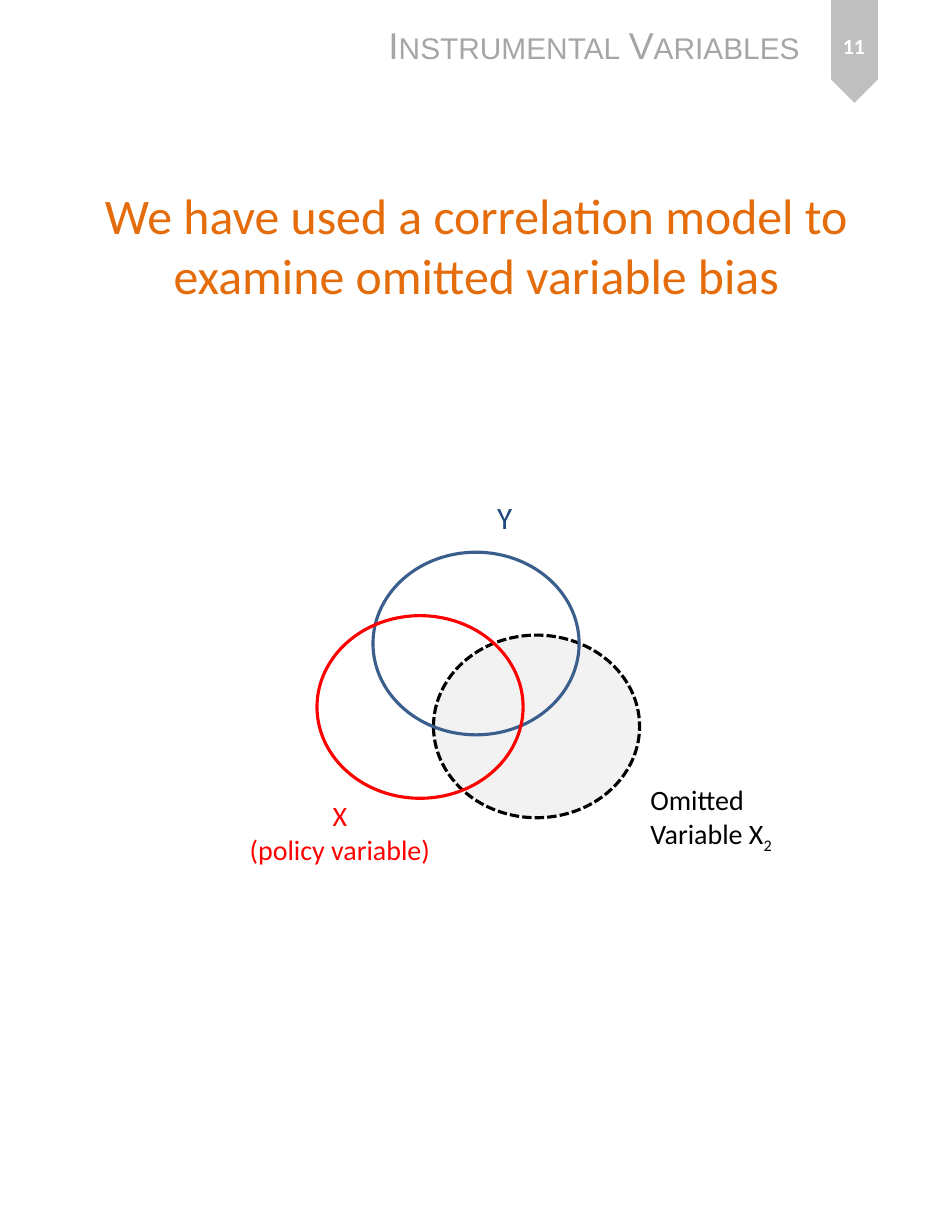
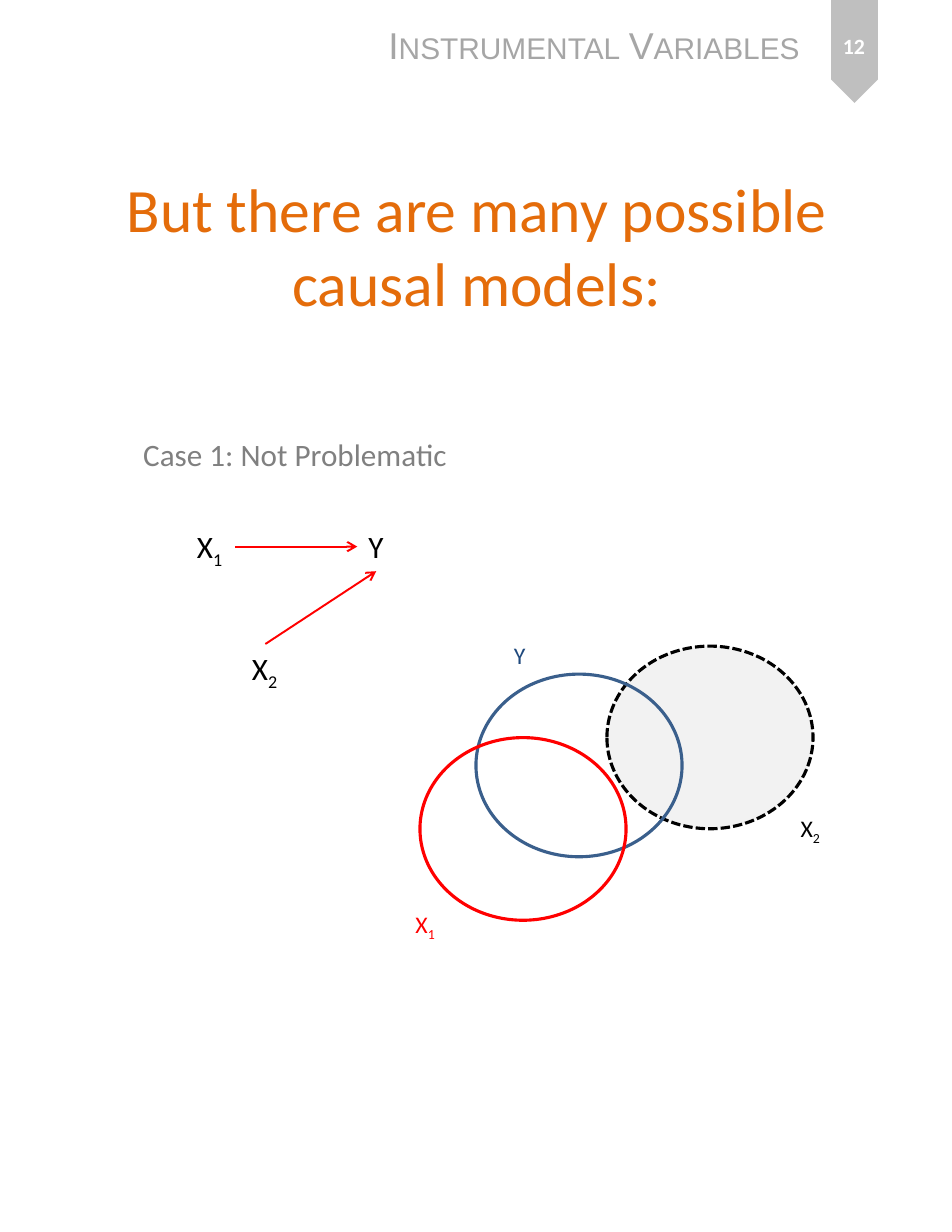
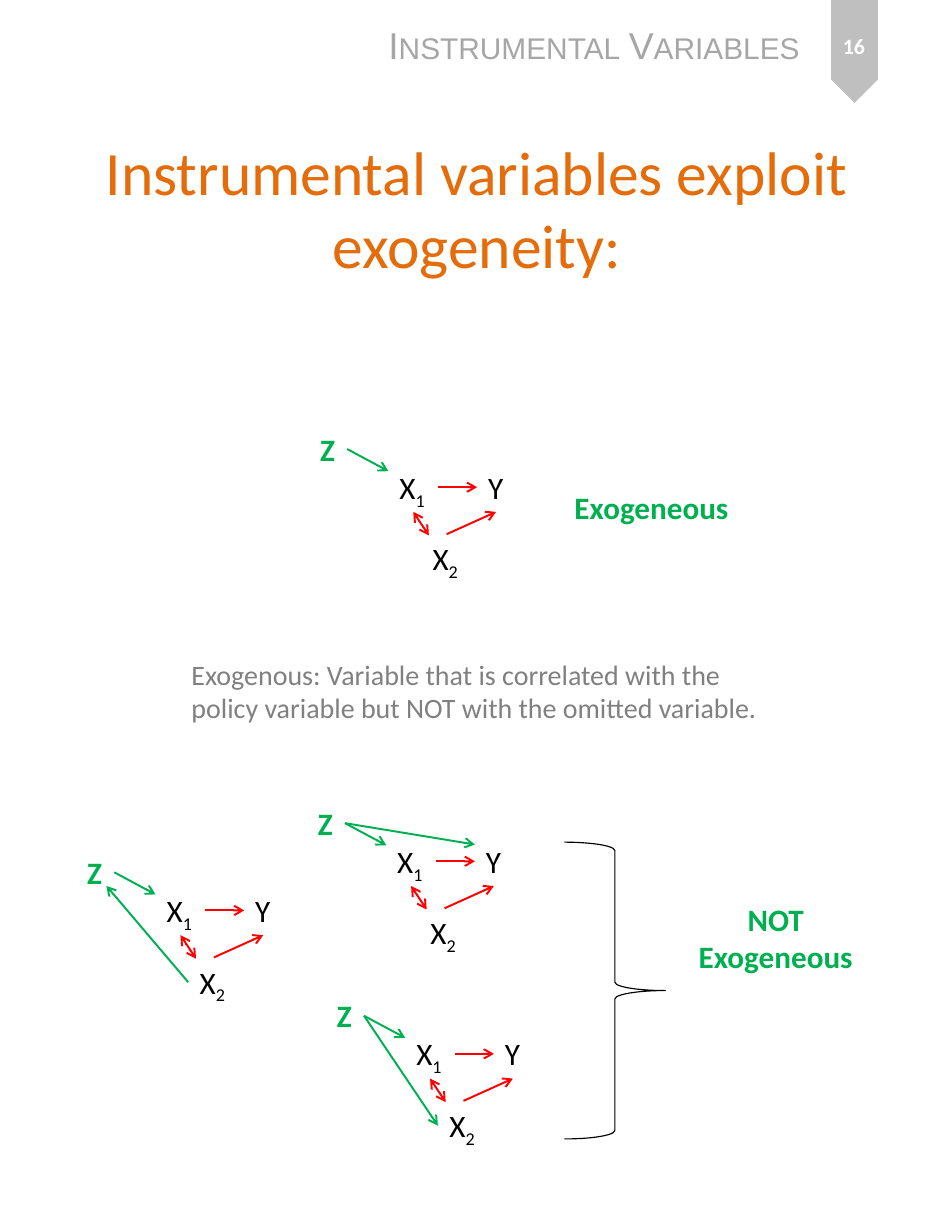
from lxml.etree import SubElement
from pptx import Presentation
from pptx.dml.color import RGBColor
from pptx.enum.dml import MSO_LINE
from pptx.enum.shapes import MSO_CONNECTOR, MSO_SHAPE
from pptx.enum.text import MSO_ANCHOR, MSO_AUTO_SIZE, PP_ALIGN
from pptx.oxml.ns import qn
from pptx.util import Pt

ORANGE = RGBColor(0xE4, 0x6C, 0x0A)
NAVY = RGBColor(0x1F, 0x49, 0x7D)
BLUE = RGBColor(0x3A, 0x5F, 0x8C)
RED = RGBColor(0xFF, 0x00, 0x00)
GREEN = RGBColor(0x00, 0xB0, 0x50)
BLACK = RGBColor(0x00, 0x00, 0x00)
WHITE = RGBColor(0xFF, 0xFF, 0xFF)
GRAY = RGBColor(0x80, 0x80, 0x80)
HEADER_GRAY = RGBColor(0xA6, 0xA6, 0xA6)
TAB_GRAY = RGBColor(0xBF, 0xBF, 0xBF)
PALE = RGBColor(0xF2, 0xF2, 0xF2)

CIRCLE_W, CIRCLE_H = 132.5, 117.4
NODE_H, Y_W, X_W = 31.5, 24.5, 31.5     # boxes of the 20 pt node letters


def style(p, size, color, bold=False, align=PP_ALIGN.LEFT, font="Calibri"):
    p.alignment = align
    p.font.name, p.font.size = font, Pt(size)
    p.font.bold, p.font.color.rgb = bold, color


def label(s, text, x, y, w, h, size=20, color=BLACK, sub="", wrap=False, **kw):
    """Text box; sub is a subscript after the text."""
    tf = s.shapes.add_textbox(Pt(x), Pt(y), Pt(w), Pt(h)).text_frame
    tf.word_wrap = wrap
    tf.text = text
    for p in tf.paragraphs:
        style(p, size, color, **kw)
    if sub:
        r = tf.paragraphs[-1].add_run()
        r.text = sub
        r._r.get_or_add_rPr().set("baseline", "-25000")
    return tf


def preset(s, kind, x, y, w, h, fill=None, line=None, width=2):
    sp = s.shapes.add_shape(kind, Pt(x), Pt(y), Pt(w), Pt(h))
    sp.shadow.inherit = False
    if fill is None:
        sp.fill.background()
    else:
        sp.fill.solid()
        sp.fill.fore_color.rgb = fill
    if line is None:
        sp.line.fill.background()
    else:
        sp.line.color.rgb, sp.line.width = line, Pt(width)
    return sp


def arrow(s, x, y, x1, y1, x2, y2, color=RED, both=False):
    """Arrow between two points, measured from (x, y)."""
    c = s.shapes.add_connector(MSO_CONNECTOR.STRAIGHT,
                               Pt(x + x1), Pt(y + y1), Pt(x + x2), Pt(y + y2))
    c.line.color.rgb, c.line.width = color, Pt(1.25)
    ln = c.line._get_or_add_ln()
    for end in ("headEnd", "tailEnd") if both else ("tailEnd",):
        SubElement(ln, qn("a:" + end), type="arrow")
    SubElement(c._element.spPr, qn("a:effectLst"))


def new_slide(title, number, size=39.6, lift=0):
    """Slide with running header, page tab and title; lift raises the title text."""
    s = prs.slides.add_slide(prs.slide_layouts[5])
    # Page tab and running header
    tab = preset(s, MSO_SHAPE.PENTAGON, 516.2, 18, 66.2, 30.2, TAB_GRAY)
    tab.rotation = 90
    tf = label(s, "Instrumental Variables", 242.6, 10.8, 280, 36, 24,
               HEADER_GRAY, font="Arial")
    tf.paragraphs[0].runs[0]._r.get_or_add_rPr().set("cap", "small")
    tf = label(s, str(number), 525, 8, 48, 42.5, 14, WHITE, wrap=True,
               bold=True, align=PP_ALIGN.CENTER)
    tf.vertical_anchor = MSO_ANCHOR.MIDDLE
    # Title
    sp = s.shapes.title
    sp.left, sp.top, sp.width, sp.height = Pt(31), Pt(91.4), Pt(550.8), Pt(131.8)
    tf = sp.text_frame
    tf.text = title
    tf.word_wrap, tf.auto_size = True, MSO_AUTO_SIZE.NONE
    tf.vertical_anchor = MSO_ANCHOR.MIDDLE
    tf.margin_bottom = Pt(3.6 + 2 * lift)
    style(tf.paragraphs[0], size, ORANGE, align=PP_ALIGN.CENTER)
    return s


def venn(s, x, y, omitted_dx, omitted_dy):
    """Three circles; (x, y) is the corner of the Y circle."""
    omitted = preset(s, MSO_SHAPE.OVAL, x + omitted_dx, y + omitted_dy,
                     CIRCLE_W, CIRCLE_H, PALE, BLACK)
    omitted.line.dash_style = MSO_LINE.SQUARE_DOT
    omitted.line._get_or_add_ln().find(qn("a:prstDash")).set("val", "sysDash")
    preset(s, MSO_SHAPE.OVAL, x, y, CIRCLE_W, CIRCLE_H, line=BLUE)
    preset(s, MSO_SHAPE.OVAL, x - 36, y + 40.8, CIRCLE_W, CIRCLE_H, line=RED)


def nodes(s, x, y, y_dx, x2_dx, x2_dy):
    """Letters X1, Y and X2, with X1 at (x, y)."""
    label(s, "Y", x + y_dx, y, Y_W, NODE_H)
    label(s, "X", x, y, X_W, NODE_H, sub="1")
    label(s, "X", x + x2_dx, y + x2_dy, X_W, NODE_H, sub="2")


def instrument(s, x, y, extra=None):
    """Causal graph with instrument Z at (x, y); extra is one more Z arrow."""
    nodes(s, x + 51, y + 24.5, 57, 21.3, 46)
    arrow(s, x, y, 83, 40.3, 108, 40.3)
    arrow(s, x, y, 88.5, 70.5, 120.2, 56.2)
    arrow(s, x, y, 67, 56.2, 77, 71.3, both=True)
    label(s, "Z", x, y, Y_W, NODE_H, color=GREEN, bold=True)
    arrow(s, x, y, 24.5, 15.8, 51, 30, GREEN)
    if extra:
        arrow(s, x, y, *extra, GREEN)


def correlation_slide():
    s = new_slide("We have used a correlation model to examine omitted variable bias",
                  11, size=32)
    venn(s, 239.8, 355, 38.9, 53.3)
    label(s, "Y", 312.5, 316.8, Y_W, NODE_H, color=NAVY)
    label(s, "X\n(policy variable)", 152.6, 509.8, 131.8, 51, 18, RED,
          align=PP_ALIGN.CENTER)
    label(s, "Omitted\vVariable X", 411, 499.7, 94.3, 51, 18, sub="2")


def causal_slide():
    s = new_slide("But there are many possible causal models:", 12)
    # Causal graph
    x, y = 119.5, 335.5
    nodes(s, x, y, 110.2, 35.3, 78.5)
    arrow(s, x, y, 31.7, 15.9, 110.2, 15.9)
    arrow(s, x, y, 51.1, 78.5, 122.4, 31.7)
    label(s, "Case 1: Not Problematic", 85, 276.5, 211.7, NODE_H, color=GRAY)
    # Circles
    venn(s, 306, 433.4, 84.2, -18)
    label(s, "Y", 323.3, 408.2, 22.3, 26, 15.3, NAVY)
    label(s, "X", 260, 581, 28, 26, 15.3, RED, sub="1")
    label(s, "X", 507.6, 519.8, 28, 26, 15.3, sub="2")


def exogeneity_slide():
    s = new_slide("Instrumental variables exploit exogeneity:", 16, lift=24)
    # Valid instrument
    instrument(s, 198.7, 272.9)
    label(s, "Exogeneous", 362.2, 310.3, 114.5, NODE_H, color=GREEN, bold=True)
    label(s, "Exogenous: Variable that is correlated with the policy variable "
             "but NOT with the omitted variable.",
          116, 419, 395.3, 51, 18, GRAY, wrap=True)
    # Invalid instruments: Z to Y, Z to X2, X2 to Z
    instrument(s, 197.3, 513.4, (24.5, 15.8, 108, 29.5))
    instrument(s, 209.5, 637.2, (24.5, 15.8, 72, 86.4))
    instrument(s, 49, 545, (72, 86.4, 19.4, 24.5))
    preset(s, MSO_SHAPE.RIGHT_BRACE, 362.9, 541.4, 64.8, 190.8, line=BLACK, width=0.75)
    label(s, "NOT\nExogeneous", 441.4, 575.3, 114.5, 55.4, color=GREEN, bold=True,
          align=PP_ALIGN.CENTER)


prs = Presentation()
prs.slide_width, prs.slide_height = Pt(612), Pt(792)
correlation_slide()
causal_slide()
exogeneity_slide()
prs.save("out.pptx")
